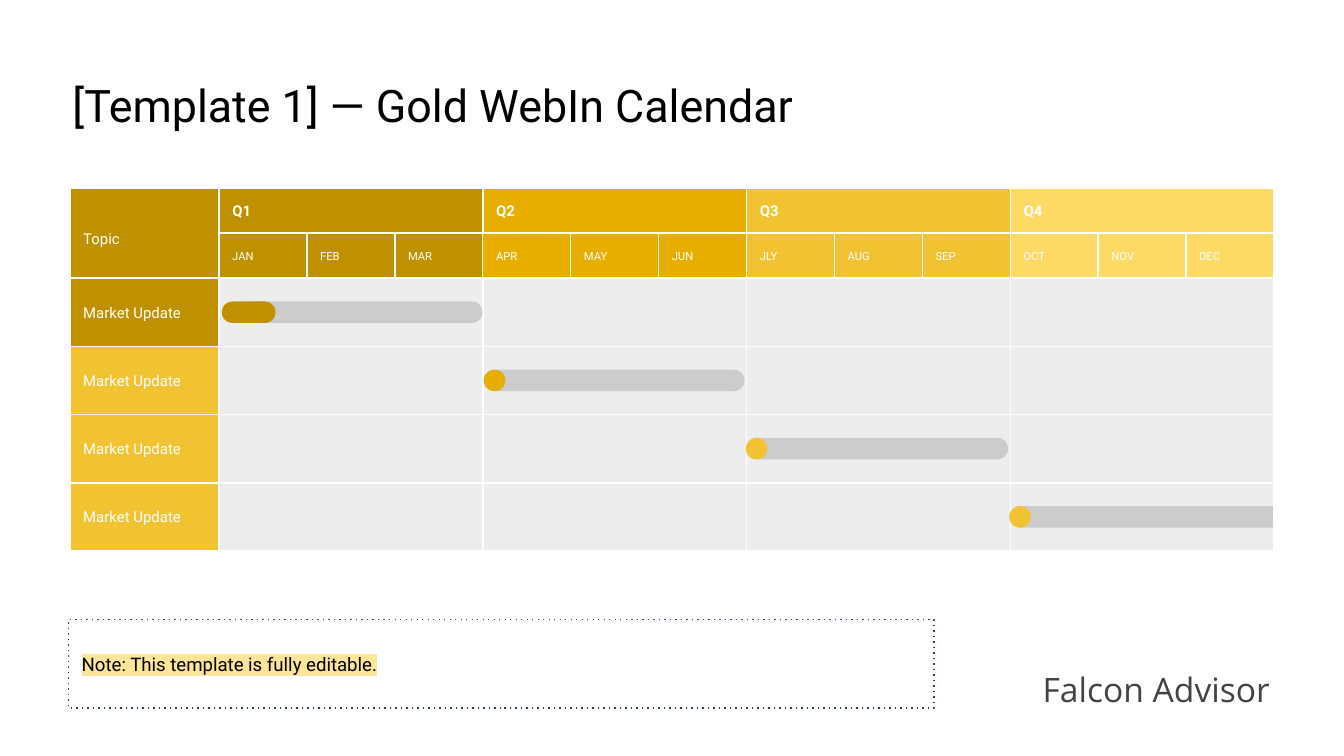
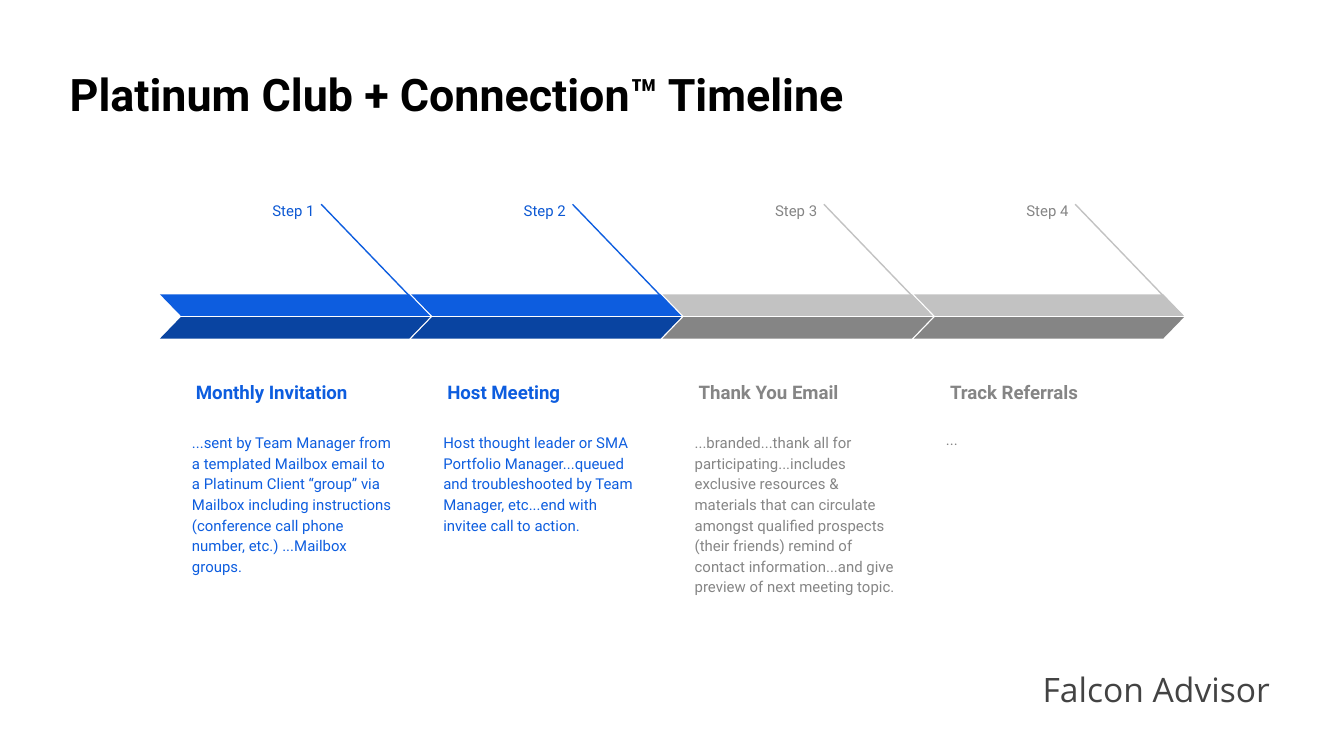
from dataclasses import dataclass

from lxml import etree
from pptx import Presentation, util as u
from pptx.dml.color import RGBColor
from pptx.enum import dml, shapes, text
from pptx.oxml.ns import qn


@dataclass(frozen=True)
class Theme:
    font: str = "Roboto"
    footer_font: str = "Open Sans"
    black: str = "000000"
    white: str = "FFFFFF"
    footer: str = "434343"
    cell: str = "EDEDED"
    track: str = "CCCCCC"
    golds: tuple = ("BF9000", "E7AE00", "F1C232", "FFD966")
    note_line: str = "2A3990"
    note_mark: str = "FFE599"
    title_size: int = 24
    footer_size: int = 18
    head_size: int = 10
    body_size: int = 8
    month_size: int = 6
    line: float = 0.75
    inset: float = 0.1


@dataclass(frozen=True)
class StepColours:
    label: str
    copy: str
    top: str
    bottom: str


THEME = Theme()
ACTIVE = StepColours("0C58D3", "0D5DDF", "0D5DDF", "0944A1")
PENDING = StepColours("858585", "858585", "C2C2C2", "858585")
MIDDLE, BOTTOM = text.MSO_ANCHOR.MIDDLE, text.MSO_ANCHOR.BOTTOM
FORM = shapes.MSO_SHAPE

# Calendar grid, in inches
LEFT, TOP, TOPIC_W = 0.52, 1.4, 1.11
GRID_LEFT, GRID_TOP = LEFT + TOPIC_W, 2.07
QUARTER_W = 7.85 / 4
MONTH_W = QUARTER_W / 3
HEAD_H = (GRID_TOP - TOP) / 2
ROW_H = 2.03 / 4
BAR_H = 0.16

QUARTERS = [
    ("Q1", ["JAN", "FEB", "MAR"]),
    ("Q2", ["APR", "MAY", "JUN"]),
    ("Q3", ["JLY", "AUG", "SEP"]),
    ("Q4", ["OCT", "NOV", "DEC"]),
]
TOPICS = ["Market Update"] * 4
TOPIC_GOLDS = (0, 2, 2, 2)
# Track start and end, progress start and length, gold, radius at the right end
BARS = [
    (1.82, 3.59, 1.65, 0.4, 0, 0.5),
    (3.6, 5.54, 3.6, BAR_H, 1, 0.5),
    (5.55, 7.5, 5.55, BAR_H, 2, 0.5),
    (7.51, 9.47, 7.51, BAR_H, 2, 0),
]

# Timeline grid, in inches
STEP_LEFT, STEP_PITCH = 1.19, 1.87
STEPS = [
    ("Monthly Invitation",
     "...sent by Team Manager from a templated Mailbox email to a Platinum "
     "Client “group” via Mailbox including instructions (conference call "
     "phone number, etc.) ...Mailbox groups.", ACTIVE),
    ("Host Meeting",
     "Host thought leader or SMA Portfolio Manager...queued and "
     "troubleshooted by Team Manager, etc...end with invitee call to action.",
     ACTIVE),
    ("Thank You Email",
     "...branded...thank all for participating...includes exclusive resources "
     "& materials that can circulate amongst qualified prospects (their "
     "friends) remind of contact information...and give preview of next "
     "meeting topic.", PENDING),
    ("Track Referrals", "...", PENDING),
]


def inches(*values):
    return [u.Inches(value) for value in values]


def write(box, words, size, colour, bold=False, font=THEME.font, anchor=None,
          align=text.PP_ALIGN.LEFT, spacing=None, after=None,
          top_inset=THEME.inset):
    """Fill a box with one paragraph and return its run."""
    frame = box.text_frame
    frame.word_wrap = True
    frame.margin_left = frame.margin_right = u.Inches(THEME.inset)
    frame.margin_top, frame.margin_bottom = inches(top_inset, THEME.inset)
    frame.vertical_anchor = anchor or text.MSO_ANCHOR.TOP
    para = frame.paragraphs[0]
    para.alignment = align
    if spacing:
        para.line_spacing = spacing
    if after:
        para.space_after = u.Pt(after)
    para.font.size = u.Pt(size)
    para.font.name = font
    para.font.bold = bold
    para.font.color.rgb = RGBColor.from_string(colour)
    span = para.add_run()
    span.text = words
    return span


def add_text(parent, at, words, size, colour, **style):
    box = parent.add_textbox(*inches(*at))
    write(box, words, size, colour, **style)


def add_form(parent, form, at, fill=None, line=None):
    shape = parent.add_shape(form, *inches(*at))
    shape.shadow.inherit = False
    if fill:
        shape.fill.solid()
        shape.fill.fore_color.rgb = RGBColor.from_string(fill)
    else:
        shape.fill.background()
    if line:
        shape.line.color.rgb = RGBColor.from_string(line)
        shape.line.width = u.Pt(THEME.line)
    else:
        shape.line.fill.background()
    return shape


def add_cell(page, at, fill, words=None, size=THEME.body_size, **style):
    cell = add_form(page.shapes, FORM.RECTANGLE, at, fill, THEME.white)
    if words:
        write(cell, words, size, THEME.white, **{"anchor": MIDDLE, **style})
    return cell


def add_bar(page, row, start, length, fill, right_radius=0.5):
    """Draw a horizontal bar as an upright shape turned by 90 degrees."""
    middle = GRID_TOP + (row + 0.5) * ROW_H
    at = (start + (length - BAR_H) / 2, middle - length / 2, BAR_H, length)
    bar = add_form(page.shapes, FORM.ROUND_2_SAME_RECTANGLE, at, fill)
    bar.rotation = 90
    bar.adjustments[0] = right_radius
    bar.adjustments[1] = 0.5


def add_line(parent, start, end, colour):
    line = parent.add_connector(shapes.MSO_CONNECTOR.STRAIGHT,
                                *inches(*start, *end))
    line.line.color.rgb = RGBColor.from_string(colour)
    line.line.width = u.Pt(THEME.line)
    etree.SubElement(line.element.spPr, qn("a:effectLst"))


def add_page(deck, title, left, top, bold=False):
    page = deck.slides.add_slide(deck.slide_layouts[6])
    add_text(page.shapes, (left, top, 9.32, 0.66), title, THEME.title_size,
             THEME.black, bold=bold, anchor=MIDDLE)
    add_text(page.shapes, (7.66, 4.88, 2.34, 0.55), "Falcon Advisor",
             THEME.footer_size, THEME.footer, font=THEME.footer_font)
    return page


def add_quarter(page, index, name, months):
    left, gold = GRID_LEFT + index * QUARTER_W, THEME.golds[index]
    add_cell(page, (left, TOP, QUARTER_W, HEAD_H), gold, name, bold=True)
    for column, month in enumerate(months):
        at = (left + column * MONTH_W, TOP + HEAD_H, MONTH_W, HEAD_H)
        add_cell(page, at, gold, month, THEME.month_size)
    for row in range(len(TOPICS)):
        at = (left, GRID_TOP + row * ROW_H, QUARTER_W, ROW_H)
        add_cell(page, at, THEME.cell)


def add_note(page, words):
    note = add_form(page.shapes, FORM.RECTANGLE, (0.51, 4.61, 6.44, 0.66),
                    line=THEME.note_line)
    note.line.dash_style = dml.MSO_LINE.ROUND_DOT
    note.element.spPr.find(".//" + qn("a:prstDash")).set("val", "dot")
    span = write(note, words, THEME.head_size, THEME.black, anchor=MIDDLE)
    mark = etree.SubElement(span.font._element, qn("a:highlight"))
    etree.SubElement(mark, qn("a:srgbClr"), val=THEME.note_mark)


def add_calendar(deck):
    page = add_page(deck, "[Template 1] — Gold WebIn Calendar", 0.44, 0.45)
    for index, (name, months) in enumerate(QUARTERS):
        add_quarter(page, index, name, months)
    for row, (topic, gold) in enumerate(zip(TOPICS, TOPIC_GOLDS)):
        at = (LEFT, GRID_TOP + row * ROW_H, TOPIC_W, ROW_H)
        add_cell(page, at, THEME.golds[gold], topic)
    topic_head = add_cell(page, (LEFT, TOP, TOPIC_W, 2 * HEAD_H),
                          THEME.golds[0], "Topic", anchor=BOTTOM)
    topic_head.text_frame.margin_bottom = u.Inches(0.23)
    for row, (start, end, done, length, gold, radius) in enumerate(BARS):
        add_bar(page, row, start, end - start, THEME.track, radius)
        add_bar(page, row, done, length, THEME.golds[gold])
    add_note(page, "Note: This template is fully editable.")


def add_step(page, index, head, body, colours):
    left = STEP_LEFT + index * STEP_PITCH
    group = page.shapes.add_group_shape().shapes
    add_text(group, (left + 0.57, 1.39, 0.68, 0.26), f"Step {index + 1}",
             THEME.body_size, colours.label, align=text.PP_ALIGN.RIGHT,
             spacing=1.15, after=16, top_inset=0.12)
    add_text(group, (left + 0.17, 2.61, 1.65, 0.49), head, THEME.head_size,
             colours.copy, bold=True, anchor=BOTTOM, spacing=1.15)
    add_text(group, (left + 0.14, 3.11, 1.69, 1.74), body, THEME.body_size,
             colours.copy, spacing=1.15, after=16)
    add_line(group, (left + 1.2, 1.52), (left + 1.98, 2.33), colours.top)
    for top, fill in ((2.19, colours.top), (2.36, colours.bottom)):
        half = add_form(group, FORM.PARALLELOGRAM, (left, top, 2.01, 0.16),
                        fill)
        half.adjustments[0] = 0.97
        if fill == colours.top:
            half.element.spPr.find(qn("a:xfrm")).set("flipH", "1")


def add_timeline(deck):
    page = add_page(deck, "Platinum Club + Connection™ Timeline", 0.42, 0.37,
                    bold=True)
    for index, step in enumerate(STEPS):
        add_step(page, index, *step)


def main():
    deck = Presentation()
    deck.slide_width = u.Inches(10)
    deck.slide_height = deck.slide_width * 9 // 16
    add_calendar(deck)
    add_timeline(deck)
    deck.save("out.pptx")


if __name__ == "__main__":
    main()
